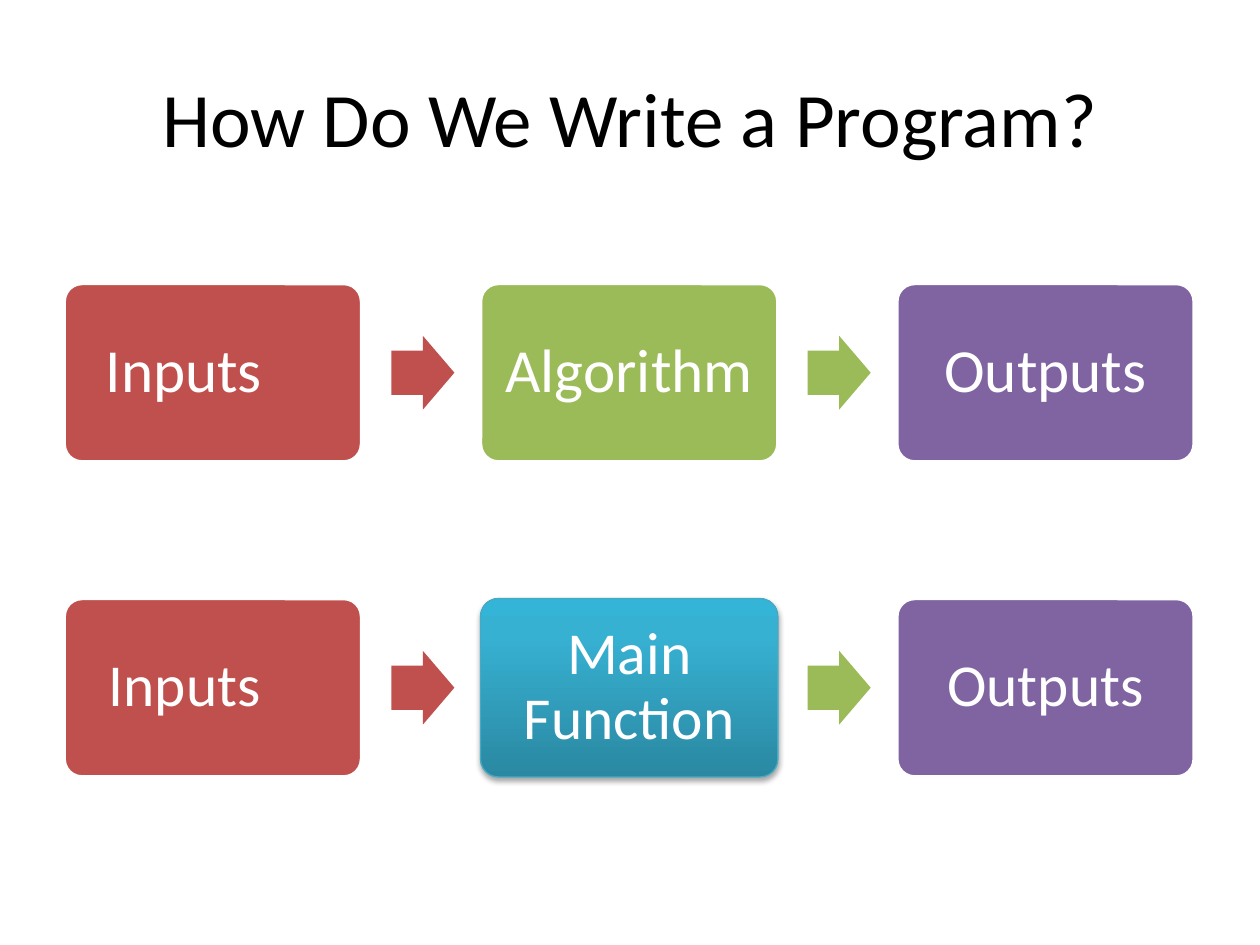
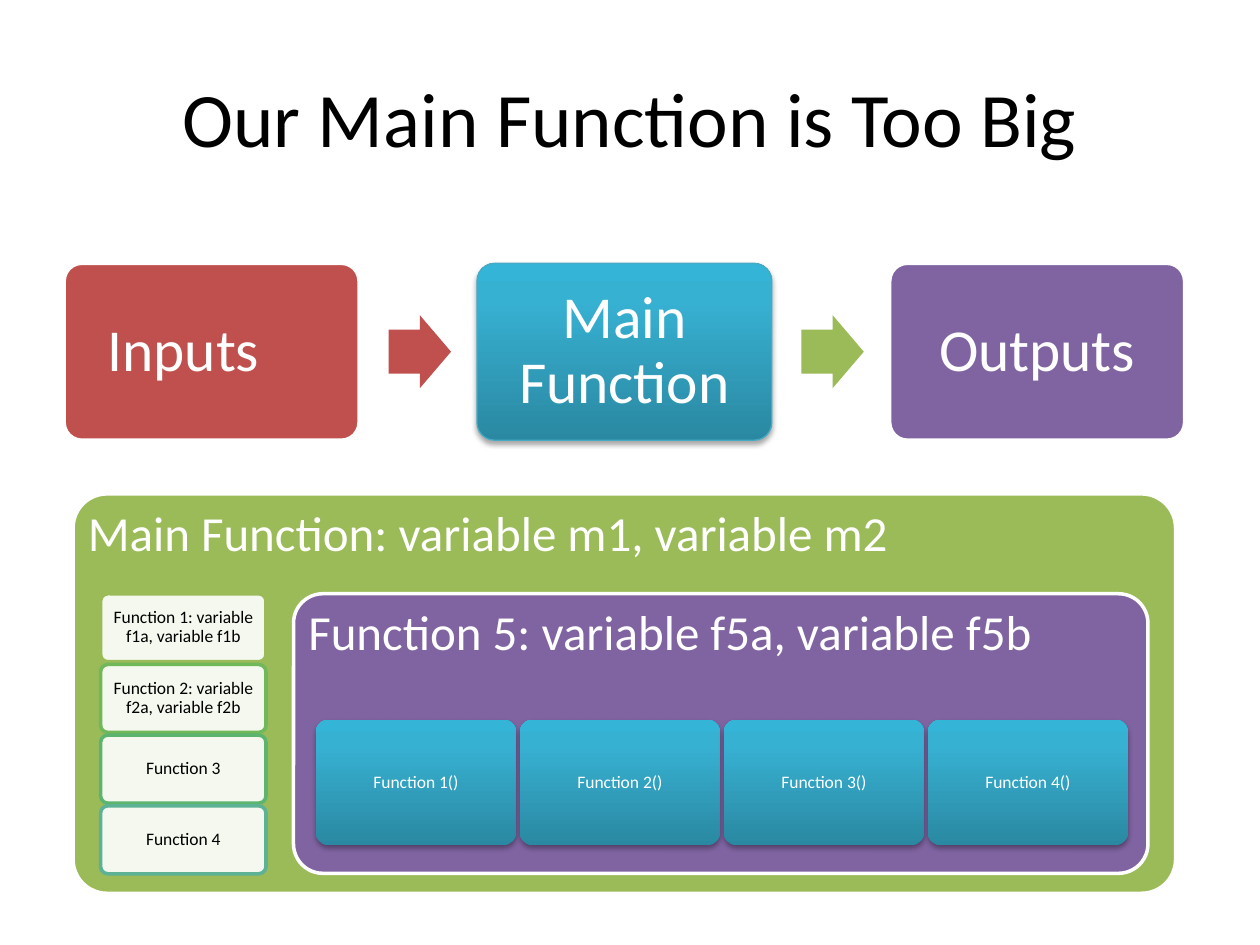
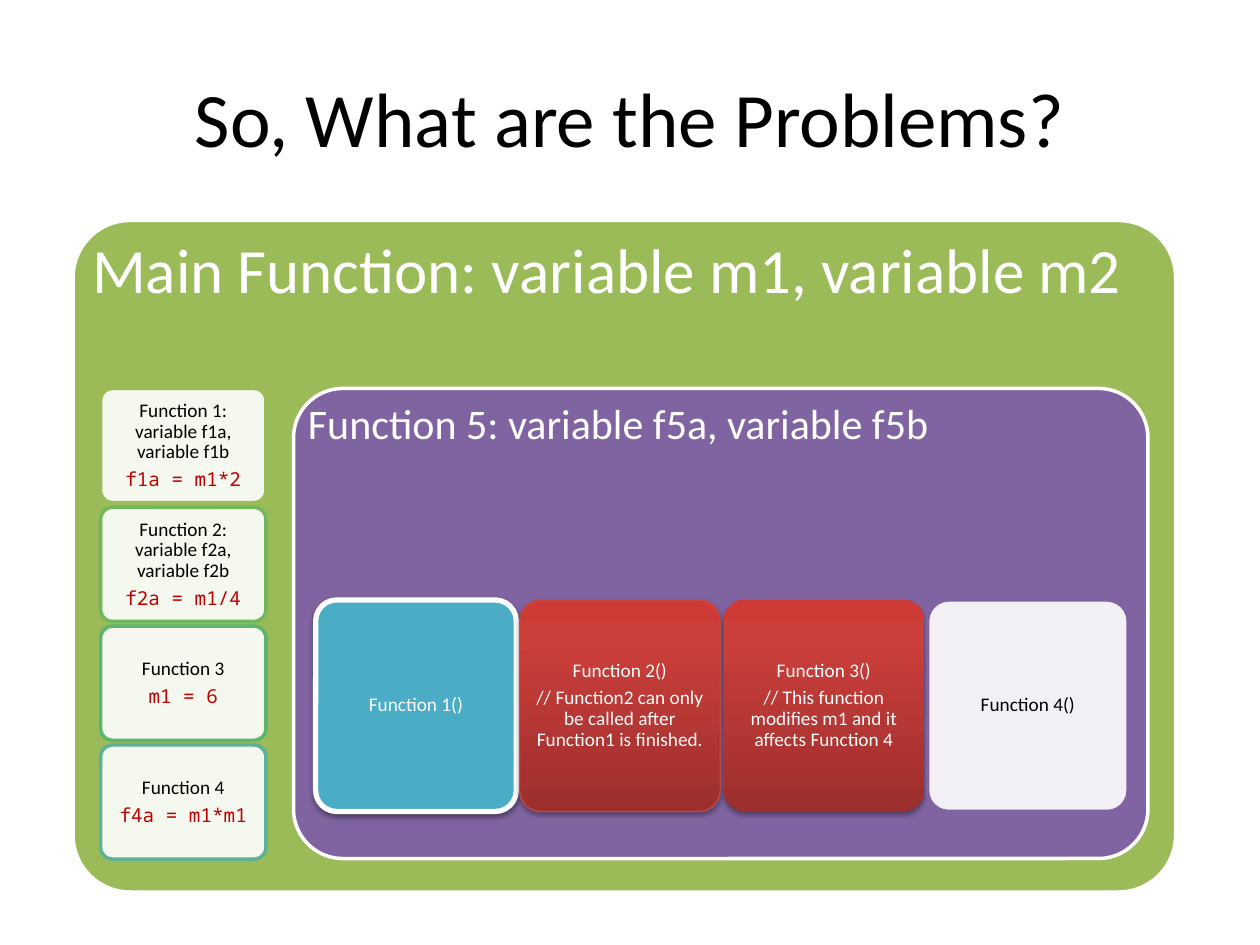
"""Build three slides on splitting a main function into smaller ones."""
from dataclasses import dataclass
from typing import NamedTuple, Optional, Sequence

from pptx import Presentation
from pptx.dml.color import RGBColor
from pptx.enum.shapes import MSO_SHAPE as Preset
from pptx.enum.text import MSO_ANCHOR as Anchor, PP_ALIGN as Align
from pptx.oxml import parse_xml
from pptx.oxml.ns import nsdecls, qn
from pptx.util import Emu, Inches, Pt

FONT, CODE_FONT = "Calibri", "Noto Sans Mono"
WHITE, BLACK, CODE_RED = "FFFFFF", "000000", "C00000"
RED, GREEN, PURPLE, TEAL = "C0504D", "9BBB59", "8064A2", "4BACC6"
TEAL_STOPS = ((0, "2A88A2"), (80, "37B1D2"), (100, "34B4D6"))
RED_STOPS = ((0, "9C2F2D"), (80, "CB3E3A"), (100, "CE3B37"))
LIST_LINES = (GREEN, "70B85A", "5CB46F", "5DB195")
FLOW_ROUNDING, PANEL_ROUNDING, NESTED_ROUNDING = 0.1, 0.085, 0.105
CORNER_INSET = 0.29


class Area(NamedTuple):
    """A rectangle in inches."""
    left: float
    top: float
    width: float
    height: float

    def share(self, x: float, y: float, width: float, height: float) -> "Area":
        """Return a rectangle given in shares of this one."""
        return Area(self.left + x * self.width, self.top + y * self.height,
                    width * self.width, height * self.height)

    def lengths(self) -> list:
        """Return the four lengths for a shape call."""
        return [Inches(value) for value in self]


class Shadow(NamedTuple):
    """A shadow falling straight down."""
    alpha: int
    distance: float
    blur: float = 3.15


@dataclass(frozen=True)
class Style:
    """The look of a box."""
    fill: str = WHITE
    stops: Sequence = ()
    alpha: int = 100
    line: Optional[str] = WHITE
    line_width: float = 2
    ink: str = WHITE
    shadow: Optional[Shadow] = None


class Label(NamedTuple):
    """One paragraph of a box."""
    text: str
    font: str = FONT
    ink: Optional[str] = None


class Card(NamedTuple):
    """A box with its labels and look."""
    labels: Sequence[Label]
    style: Style


SOFT = Shadow(35, 1.81)
GLOSSY = Style(stops=TEAL_STOPS, line=None, shadow=SOFT)
MAIN_GLOSSY = Style(stops=TEAL_STOPS, line="46AAC5", line_width=0.75, shadow=SOFT)
ALERT = Style(stops=RED_STOPS, line=None, shadow=SOFT)
ALERT_EDGED = Style(stops=RED_STOPS, line="BF4C48", line_width=0.75, shadow=SOFT)
RAISED = Style(TEAL, line_width=3, shadow=Shadow(38, 1.57))
PALE = Style(alpha=90, line=PURPLE, ink=BLACK)

INPUTS = Card([Label("Inputs\t")], Style(RED))
ALGORITHM = Card([Label("Algorithm")], Style(GREEN))
MAIN = Card([Label("Main Function")], MAIN_GLOSSY)
OUTPUTS = Card([Label("Outputs")], Style(PURPLE))

FUNCTIONS = ("Function 1: variable f1a, variable f1b",
             "Function 2: variable f2a, variable f2b", "Function 3", "Function 4")
CODE = ("f1a = m1*2", "f2a = m1/4", "m1 = 6", "f4a = m1*m1")
CALLS = [Label(f"Function {number}()") for number in range(1, 5)]


def colour(value: str) -> RGBColor:
    """Turn a hex string into a colour."""
    return RGBColor.from_string(value)


def alpha_xml(percent: int) -> str:
    """Return an opacity element."""
    return f'<a:alpha {nsdecls("a")} val="{percent * 1000}"/>'


def paint(shape, style: Style) -> None:
    """Set fill, line and shadow of a shape."""
    shape.shadow.inherit = False
    if style.stops:
        shape.fill.gradient()
        old = shape._element.spPr.find(qn("a:gradFill"))
        stops = "".join(f'<a:gs pos="{place * 1000}"><a:srgbClr val="{value}"/></a:gs>'
                        for place, value in style.stops)
        old.addprevious(parse_xml(
            f'<a:gradFill {nsdecls("a")} rotWithShape="1"><a:gsLst>{stops}</a:gsLst>'
            '<a:lin ang="16200000" scaled="0"/></a:gradFill>'))
        old.getparent().remove(old)
    else:
        shape.fill.solid()
        shape.fill.fore_color.rgb = colour(style.fill)
        if style.alpha < 100:
            tint = shape._element.spPr.find(qn("a:solidFill"))[0]
            tint.append(parse_xml(alpha_xml(style.alpha)))
    if style.line:
        shape.line.color.rgb = colour(style.line)
        shape.line.width = Pt(style.line_width)
    else:
        shape.line.fill.background()
    if style.shadow:
        shape._element.spPr.find(qn("a:effectLst")).append(parse_xml(
            f'<a:outerShdw {nsdecls("a")} blurRad="{Pt(style.shadow.blur)}" '
            f'dist="{Pt(style.shadow.distance)}" dir="5400000" rotWithShape="0">'
            f'<a:srgbClr val="{BLACK}">{alpha_xml(style.shadow.alpha)}</a:srgbClr>'
            '</a:outerShdw>'))


def add_span(para, text: str, size: float, ink: str, font: str = FONT) -> None:
    """Add one formatted run."""
    span = para.add_run()
    span.text = text
    span.font.name = font
    span.font.size = Pt(size)
    span.font.color.rgb = colour(ink)


def add_card(page, area: Area, card: Card, size: float, rounding: float,
             heading: bool = False) -> None:
    """Draw a rounded box with its labels, centred or as a heading."""
    box = page.shapes.add_shape(Preset.ROUNDED_RECTANGLE, *area.lengths())
    box.adjustments[0] = rounding
    paint(box, card.style)
    frame = box.text_frame
    frame.word_wrap = True
    frame.vertical_anchor = Anchor.TOP if heading else Anchor.MIDDLE
    corner = Inches(CORNER_INSET * rounding * min(area.width, area.height))
    inset = max(Emu(0), Emu(Pt(0.3 * size) - corner))
    frame.margin_left = frame.margin_right = inset
    frame.margin_top = frame.margin_bottom = inset
    for index, label in enumerate(card.labels):
        para = frame.add_paragraph() if index else frame.paragraphs[0]
        para.alignment = Align.LEFT if heading else Align.CENTER
        para.line_spacing = 0.9
        if index < len(card.labels) - 1:
            para.space_after = Pt(0.35 * size)
        if "\t" in label.text:
            para._p.get_or_add_pPr().append(parse_xml(
                f'<a:tabLst {nsdecls("a")}><a:tab pos="{Pt(3.5 * size)}" algn="l"/></a:tabLst>'))
        add_span(para, label.text, size, label.ink or card.style.ink, label.font)


def add_flow(page, top: float, width: float, size: float, cards: Sequence[Card]) -> None:
    """Draw a row of boxes joined by block arrows."""
    unit = Area(0.51, top, width, 0.6 * width)
    for index, card in enumerate(cards):
        if index:
            arrow = page.shapes.add_shape(
                Preset.RIGHT_ARROW,
                *unit.share(1.4 * index - 0.3, 0.293, 0.212, 0.414).lengths())
            arrow.adjustments[0], arrow.adjustments[1] = 0.6, 0.5
            paint(arrow, Style(RED if index == 1 else GREEN, line=None))
        add_card(page, unit.share(1.4 * index, 0, 1, 1), card, size, FLOW_ROUNDING)


def add_nest(page, panel: Area, sizes: Sequence[float], listed: Sequence[Sequence[Label]],
             calls: Sequence[Card]) -> None:
    """Draw the main function with its listed functions and nested calls."""
    main_size, inner_size, small_size = sizes
    add_card(page, panel, Card([Label("Main Function: variable m1, variable m2")], Style(GREEN)),
             main_size, PANEL_ROUNDING, heading=True)
    for row, (labels, line) in enumerate(zip(listed, LIST_LINES)):
        add_card(page, panel.share(0.025, 0.25 + 0.177 * row, 0.15, 0.17),
                 Card(labels, Style(alpha=90, line=line, ink=BLACK)),
                 small_size, NESTED_ROUNDING)
    add_card(page, panel.share(0.2, 0.25, 0.775, 0.7),
             Card([Label("Function 5: variable f5a, variable f5b")], Style(PURPLE)),
             inner_size, NESTED_ROUNDING, heading=True)
    for column, card in enumerate(calls):
        add_card(page, panel.share(0.22 + 0.185 * column, 0.565, 0.182, 0.315),
                 card, small_size, NESTED_ROUNDING)


def add_page(deck, heading: str):
    """Add a slide with a centred title."""
    page = deck.slides.add_slide(deck.slide_layouts[5])
    title = page.shapes.title
    title.left, title.top, title.width, title.height = Area(0.5, 0.3, 9, 1.25).lengths()
    title.text_frame.vertical_anchor = Anchor.MIDDLE
    para = title.text_frame.paragraphs[0]
    para.alignment = Align.CENTER
    add_span(para, heading, 44, BLACK)
    return page


def main() -> None:
    """Build and save the deck."""
    deck = Presentation()
    deck.slide_width, deck.slide_height = Inches(10), Inches(7.5)

    page = add_page(deck, "How Do We Write a Program?")
    add_flow(page, 2.25, 2.36, 35, (INPUTS, ALGORITHM, OUTPUTS))
    add_flow(page, 4.75, 2.36, 34, (INPUTS, MAIN, OUTPUTS))

    page = add_page(deck, "Our Main Function is Too Big")
    add_flow(page, 2.09, 2.34, 34, (INPUTS, MAIN, OUTPUTS))
    add_nest(page, Area(0.58, 3.92, 8.75, 3.17), (28, 28, 10),
             [[Label(name)] for name in FUNCTIONS],
             [Card([call], GLOSSY) for call in CALLS])

    page = add_page(deck, "So, What are the Problems?")
    remarks = ([], [Label("// Function2 can only be called after Function1 is finished.")],
               [Label("// This function modifies m1 and it affects Function 4")], [])
    styles = (RAISED, ALERT_EDGED, ALERT, PALE)
    add_nest(page, Area(0.58, 1.75, 8.75, 5.33), (36, 24, 11),
             [[Label(name), Label(code, CODE_FONT, CODE_RED)]
              for name, code in zip(FUNCTIONS, CODE)],
             [Card([call, *remark], style)
              for call, remark, style in zip(CALLS, remarks, styles)])

    deck.save("out.pptx")


if __name__ == "__main__":
    main()
